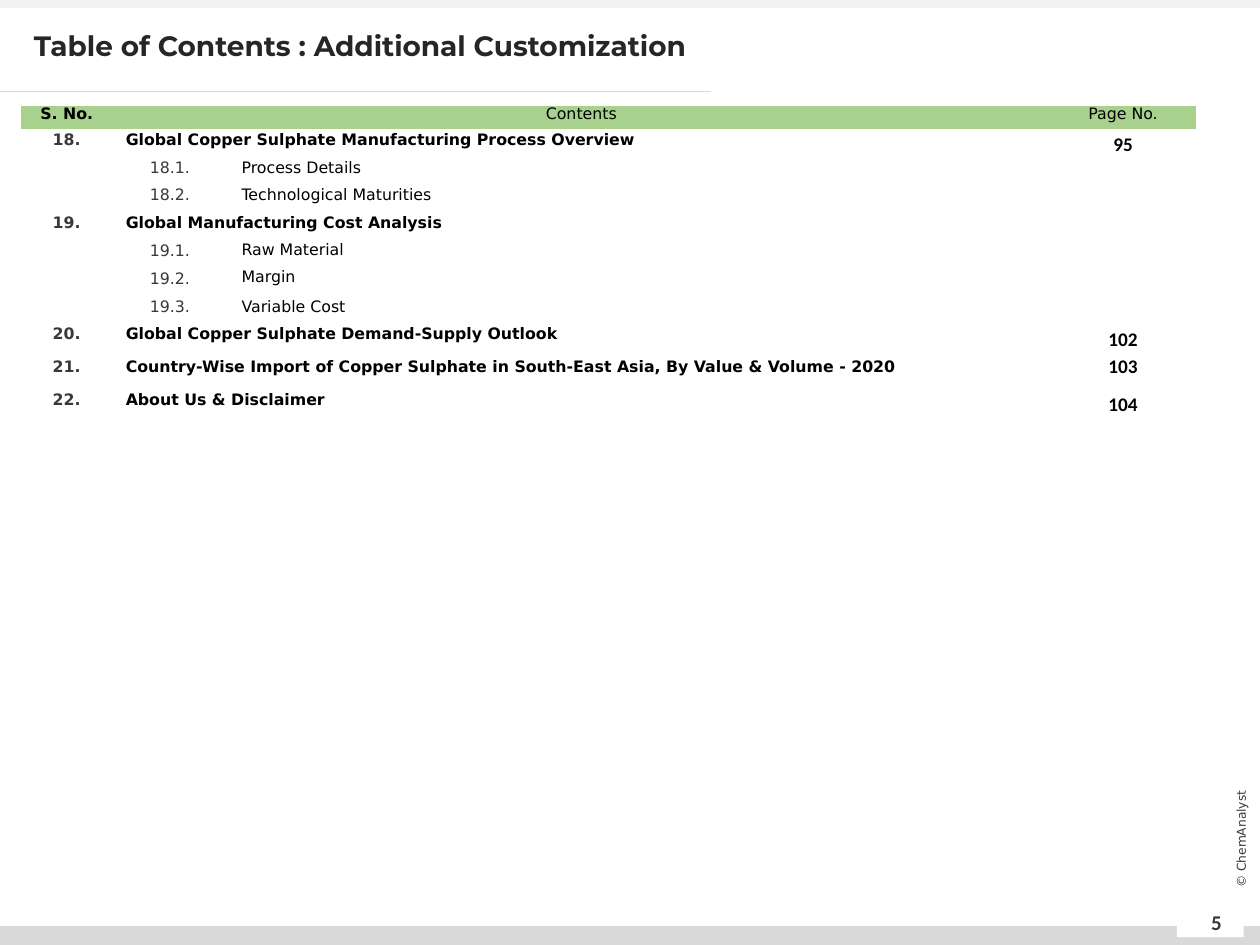
import pptx
import pptx.util
import pptx.dml.color
import pptx.enum.shapes
import pptx.enum.text
import pptx.oxml.ns
from lxml import etree

Pt = pptx.util.Pt
ALIGN = pptx.enum.text.PP_ALIGN
ANCHOR = pptx.enum.text.MSO_ANCHOR
COLORS = {
    "ink": "000000", "number": "3B3838", "title": "262626", "header": "A9D18E",
    "footer": "D9D9D9", "top": "F2F2F2", "white": "FFFFFF",
}


def rgb(name):
    return pptx.dml.color.RGBColor.from_string(COLORS[name])


def write(frame, text, size, color, bold=False, font="DejaVu Sans",
          align=ALIGN.CENTER, anchor=ANCHOR.MIDDLE, insets=(7.2, 3.6, 7.2, 3.6)):
    """Put one formatted run into a text frame and return its paragraph."""
    frame.word_wrap = True
    frame.vertical_anchor = anchor
    (frame.margin_left, frame.margin_top,
     frame.margin_right, frame.margin_bottom) = [Pt(inset) for inset in insets]
    paragraph = frame.paragraphs[0]
    paragraph.alignment = align
    run = paragraph.add_run()
    run.text = text
    run.font.size = Pt(size)
    run.font.name = font
    run.font.bold = bold
    run.font.color.rgb = rgb(color)
    return paragraph


deck = pptx.Presentation()
deck.slide_width, deck.slide_height = Pt(720), Pt(540)
slide = deck.slides.add_slide(deck.slide_layouts[5])

# Page bands: footer, top edge, page number tab
for left, top, width, height, color in [
    (0, 529.2, 720, 10.8, "footer"),
    (0, 0, 720, 4.5, "top"),
    (672.5, 519.8, 38.2, 15.8, "white"),
]:
    band = slide.shapes.add_shape(pptx.enum.shapes.MSO_SHAPE.RECTANGLE,
                                  Pt(left), Pt(top), Pt(width), Pt(height))
    band.shadow.inherit = False
    band.fill.solid()
    band.fill.fore_color.rgb = rgb(color)
    band.line.fill.background()

# Rule under the title
title_rule = slide.shapes.add_connector(pptx.enum.shapes.MSO_CONNECTOR.STRAIGHT,
                                        0, Pt(52), Pt(406.5), Pt(52))
title_rule.line.color.rgb = rgb("footer")
title_rule.line.width = Pt(0.5)
etree.SubElement(title_rule._element.spPr, pptx.oxml.ns.qn("a:effectLst"))

# Page number and copyright
page_number = slide.shapes.add_textbox(Pt(677.5), Pt(512.6), Pt(35.3), Pt(28.8))
write(page_number.text_frame, "5", 12, "number", True, "Calibri")
copyright_line = slide.shapes.add_textbox(Pt(666), Pt(473.8), Pt(86.4), Pt(11.5))
copyright_line.rotation = 270
write(copyright_line.text_frame, "© ChemAnalyst", 7, "number", insets=(0, 0, 0, 0))

# Title
title = slide.shapes.title
title.left, title.top, title.width, title.height = Pt(12.2), Pt(15.1), Pt(619), Pt(36)
title.text_frame.auto_size = pptx.enum.text.MSO_AUTO_SIZE.NONE
heading = write(title.text_frame, "Table of Contents : Additional Customization", 16,
                "title", True, "Montserrat", ALIGN.LEFT, ANCHOR.TOP)
heading.line_spacing = 0.9

# Contents table: number, entry, page
entries = [
    ("18.", "Global Copper Sulphate Manufacturing Process Overview", "95"),
    ("18.1.", "Process Details", ""),
    ("18.2.", "Technological Maturities", ""),
    ("19.", "Global Manufacturing Cost Analysis", ""),
    ("19.1.", "Raw Material", ""),
    ("19.2.", "Margin", ""),
    ("19.3.", "Variable Cost", ""),
    ("20.", "Global Copper Sulphate Demand-Supply Outlook", "102"),
    ("21.", "Country-Wise Import of Copper Sulphate in South-East Asia, "
            "By Value & Volume - 2020", "103"),
    ("22.", "About Us & Disclaimer", "104"),
]
TALL_ENTRY = "21."
TOP_ALIGNED = ("19.1.", "19.2.")
ENTRY_INSETS = (7.9, 0, 7.9, 3.6)
PAGE_INSETS = (0.7, 0.7, 0.7, 0)

contents_frame = slide.shapes.add_table(len(entries) + 1, 4, Pt(12.2), Pt(60.6),
                                        Pt(671), Pt(177.7))
contents = contents_frame.table
contents.first_row = contents.horz_banding = False
style_id = contents._tbl.tblPr.find(pptx.oxml.ns.qn("a:tableStyleId"))
style_id.text = "{2D5ABB26-0587-4C30-8999-92F81FD0307C}"
for column, width in zip(contents.columns, (51.8, 66.2, 470.2, 82.8)):
    column.width = Pt(width)

# Header row
contents.rows[0].height = Pt(13)
contents.cell(0, 1).merge(contents.cell(0, 2))
for column, label in [(0, "S. No."), (1, "Contents"), (3, "Page No.")]:
    header = write(contents.cell(0, column).text_frame, label, 9, "ink", column == 0)
    header.line_spacing = Pt(6)

# Chapters span two columns, sections are indented by one
for row, (number, entry, page) in enumerate(entries, start=1):
    contents.rows[row].height = Pt(21.6 if number == TALL_ENTRY else 15.9)
    chapter = number.count(".") == 1
    number_column = 0 if chapter else 1
    if chapter:
        contents.cell(row, 1).merge(contents.cell(row, 2))
    write(contents.cell(row, number_column).text_frame, number, 9, "number", chapter)
    write(contents.cell(row, number_column + 1).text_frame, entry, 9, "ink", chapter,
          align=ALIGN.LEFT)
    if page:
        write(contents.cell(row, 3).text_frame, page, 11, "ink", True, "Calibri")

# Cell fills, insets and anchors; empty cells get small text so rows stay low
for row in range(len(entries) + 1):
    number, entry, page = entries[row - 1] if row else ("", "", "")
    for column in range(4):
        cell = contents.cell(row, column)
        cell.vertical_anchor = ANCHOR.MIDDLE
        insets = ENTRY_INSETS
        if row == 0:
            cell.fill.solid()
            cell.fill.fore_color.rgb = rgb("header")
            insets = (7.9, 3.6, 7.9, 3.6)
        else:
            cell.fill.background()
            if column == 3 and page and number != TALL_ENTRY:
                cell.vertical_anchor = ANCHOR.BOTTOM
                insets = PAGE_INSETS
            elif column == 2 and number in TOP_ALIGNED:
                cell.vertical_anchor = ANCHOR.TOP
        (cell.margin_left, cell.margin_top,
         cell.margin_right, cell.margin_bottom) = [Pt(inset) for inset in insets]
        if not cell.text_frame.text:
            etree.SubElement(cell.text_frame.paragraphs[0]._p,
                             pptx.oxml.ns.qn("a:endParaRPr"), sz="600")

deck.save("out.pptx")
